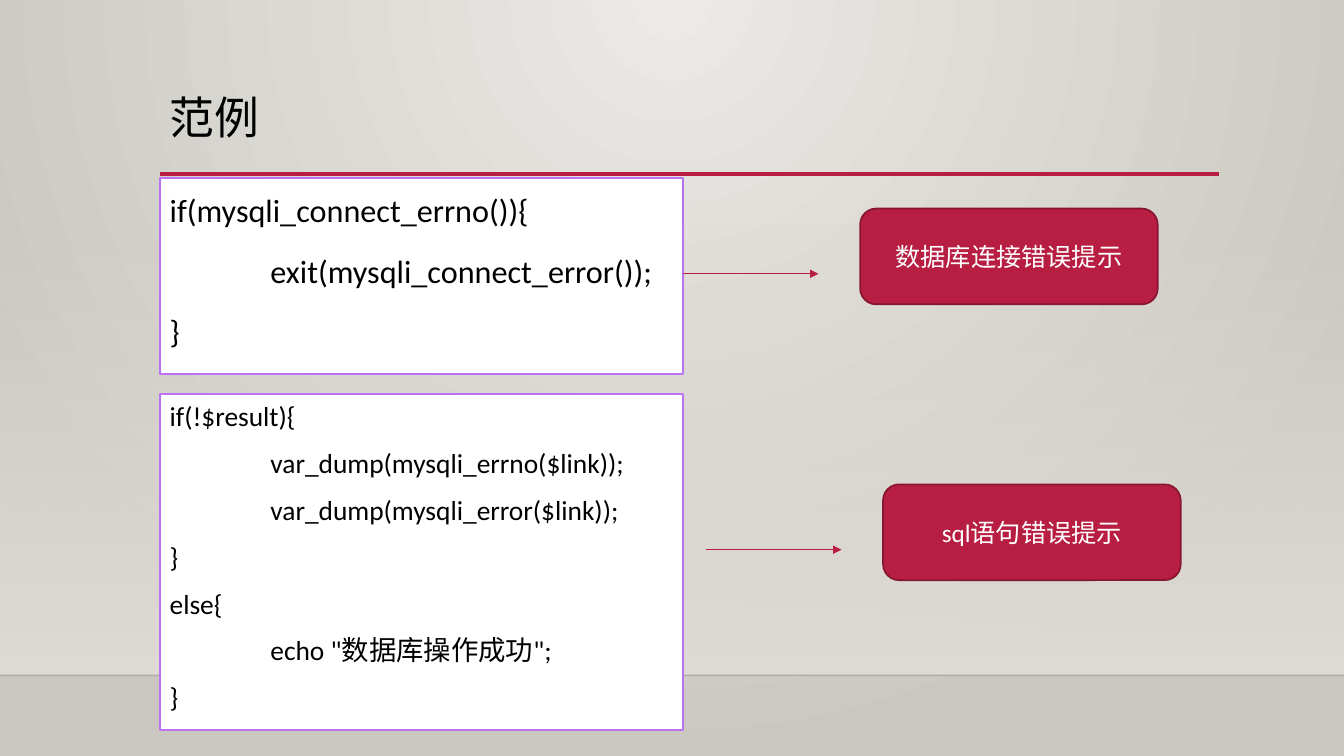
from lxml.etree import SubElement
from pptx import Presentation
from pptx.dml.color import RGBColor
from pptx.enum.shapes import MSO_CONNECTOR, MSO_SHAPE
from pptx.enum.text import MSO_ANCHOR, PP_ALIGN
from pptx.oxml.ns import qn
from pptx.util import Pt

FONT = "Calibri"
BLACK = RGBColor(0x00, 0x00, 0x00)
WHITE = RGBColor(0xFF, 0xFF, 0xFF)
CRIMSON = RGBColor(0xB7, 0x1E, 0x42)
DARK_CRIMSON = RGBColor(0x87, 0x16, 0x31)
PURPLE = RGBColor(0xBC, 0x72, 0xF0)
EDGE = RGBColor(0x00, 0x00, 0x01)
SAND = RGBColor(0xDF, 0xDB, 0xD5)
GLOW = RGBColor(0xEC, 0xEA, 0xE7)
STONE = RGBColor(0xCA, 0xC7, 0xC1)

WIDTH, HEIGHT = 960, 540
FLOOR_TOP = 482.4
MARGIN = 114.1
CODE_WIDTH = 373.7
CODE_TAB = 72
ARROW_LENGTH = 96.8

CONNECT_CODE = ["if(mysqli_connect_errno()){", "\texit(mysqli_connect_error());", "}"]
RESULT_CODE = [
    "if(!$result){",
    "\tvar_dump(mysqli_errno($link));",
    "\tvar_dump(mysqli_error($link));",
    "}",
    "else{",
    '\techo "数据库操作成功";',
    "}",
]


def set_alpha(color_element, percent):
    SubElement(color_element, qn("a:alpha"), val=str(percent * 1000))


def set_gradient(fill, *colors):
    fill.gradient()
    for stop, color in zip(fill.gradient_stops, colors):
        stop.color.rgb = color


def add_line(slide, left, top, length, color, weight):
    line = slide.shapes.add_connector(
        MSO_CONNECTOR.STRAIGHT, Pt(left), Pt(top), Pt(left + length), Pt(top))
    line.line.color.rgb = color
    line.line.width = Pt(weight)
    SubElement(line.element.spPr, qn("a:effectLst"))
    return line


def add_box(slide, kind, box, fill, outline):
    shape = slide.shapes.add_shape(kind, *map(Pt, box))
    shape.shadow.inherit = False
    shape.fill.solid()
    shape.fill.fore_color.rgb = fill
    shape.line.color.rgb = outline
    shape.line.width = Pt(1.25)
    return shape


def format_paragraph(paragraph, size, color, alignment=PP_ALIGN.LEFT):
    paragraph.alignment = alignment
    for run in paragraph.runs:
        run.font.name = FONT
        run.font.size = Pt(size)
        run.font.color.rgb = color


def add_backdrop(slide):
    # Radial glow from the top centre
    set_gradient(slide.background.fill, GLOW, STONE)
    gradient = next(slide.element.iter(qn("a:gradFill")))
    gradient.remove(gradient.find(qn("a:lin")))
    glow = SubElement(gradient, qn("a:path"), path="circle")
    SubElement(glow, qn("a:fillToRect"), l="43000", t="0", r="43000", b="100000")

    # Wall fading in towards the floor
    wall_top = 159.12
    wall = slide.shapes.add_shape(
        MSO_SHAPE.RECTANGLE, 0, Pt(wall_top), Pt(WIDTH), Pt(FLOOR_TOP - wall_top))
    wall.shadow.inherit = False
    wall.line.fill.background()
    set_gradient(wall.fill, SAND, SAND)
    wall.fill.gradient_angle = 270
    set_alpha(next(wall.element.spPr.iter(qn("a:srgbClr"))), 0)

    # Floor edge
    edge = add_line(slide, 0, FLOOR_TOP, WIDTH, EDGE, 1)
    set_alpha(next(edge.element.spPr.iter(qn("a:srgbClr"))), 20)


def add_title(slide, box, text):
    left, top, width, height = box
    # Rule under the title
    add_line(slide, left, top + 80, width, CRIMSON, 2.5)
    # Title
    frame = slide.shapes.add_textbox(*map(Pt, box)).text_frame
    frame.word_wrap = True
    frame.vertical_anchor = MSO_ANCHOR.MIDDLE
    frame.text = text
    frame.paragraphs[0].line_spacing = 0.9
    format_paragraph(frame.paragraphs[0], 32, BLACK)


def add_code(slide, box, lines, size, spacing):
    frame = add_box(slide, MSO_SHAPE.RECTANGLE, box, WHITE, PURPLE).text_frame
    frame.word_wrap = True
    frame.vertical_anchor = MSO_ANCHOR.TOP
    frame.text = "\n".join(lines)
    for paragraph in frame.paragraphs:
        paragraph.line_spacing = spacing
        paragraph.space_before = Pt(10)
        format_paragraph(paragraph, size, BLACK)
    # Tab stop for the indented lines
    for properties in frame.paragraphs[0].runs[0].font and slide.shapes[-1].element.iter(qn("a:pPr")):
        tabs = SubElement(properties, qn("a:tabLst"))
        SubElement(tabs, qn("a:tab"), pos=str(Pt(CODE_TAB)), algn="l")


def add_callout(slide, box, text):
    left, top, width, height = box
    # Arrow towards the label
    arrow = add_line(slide, left - 126.5, top + height / 2 + 12.4,
                     ARROW_LENGTH, CRIMSON, 0.75)
    SubElement(arrow.element.spPr.find(qn("a:ln")), qn("a:tailEnd"), type="triangle")
    # Label
    frame = add_box(slide, MSO_SHAPE.ROUNDED_RECTANGLE, box, CRIMSON, DARK_CRIMSON).text_frame
    frame.word_wrap = True
    frame.vertical_anchor = MSO_ANCHOR.MIDDLE
    frame.text = text
    format_paragraph(frame.paragraphs[0], 18, WHITE, PP_ALIGN.CENTER)


def main():
    presentation = Presentation()
    presentation.slide_width = Pt(WIDTH)
    presentation.slide_height = Pt(HEIGHT)
    slide = presentation.slides.add_slide(presentation.slide_layouts[6])
    add_backdrop(slide)
    add_title(slide, (MARGIN, 44.3, 756.5, 82.8), "范例")
    add_code(slide, (MARGIN, 127.2, CODE_WIDTH, 140), CONNECT_CODE, 23, 1.2)
    add_callout(slide, (614.4, 149, 212.6, 68.4), "数据库连接错误提示")
    add_code(slide, (MARGIN, 281.5, CODE_WIDTH, 239.8), RESULT_CODE, 19.6, 1)
    add_callout(slide, (630.8, 346, 212.6, 68.4), "sql语句错误提示")
    presentation.save("out.pptx")


if __name__ == "__main__":
    main()
